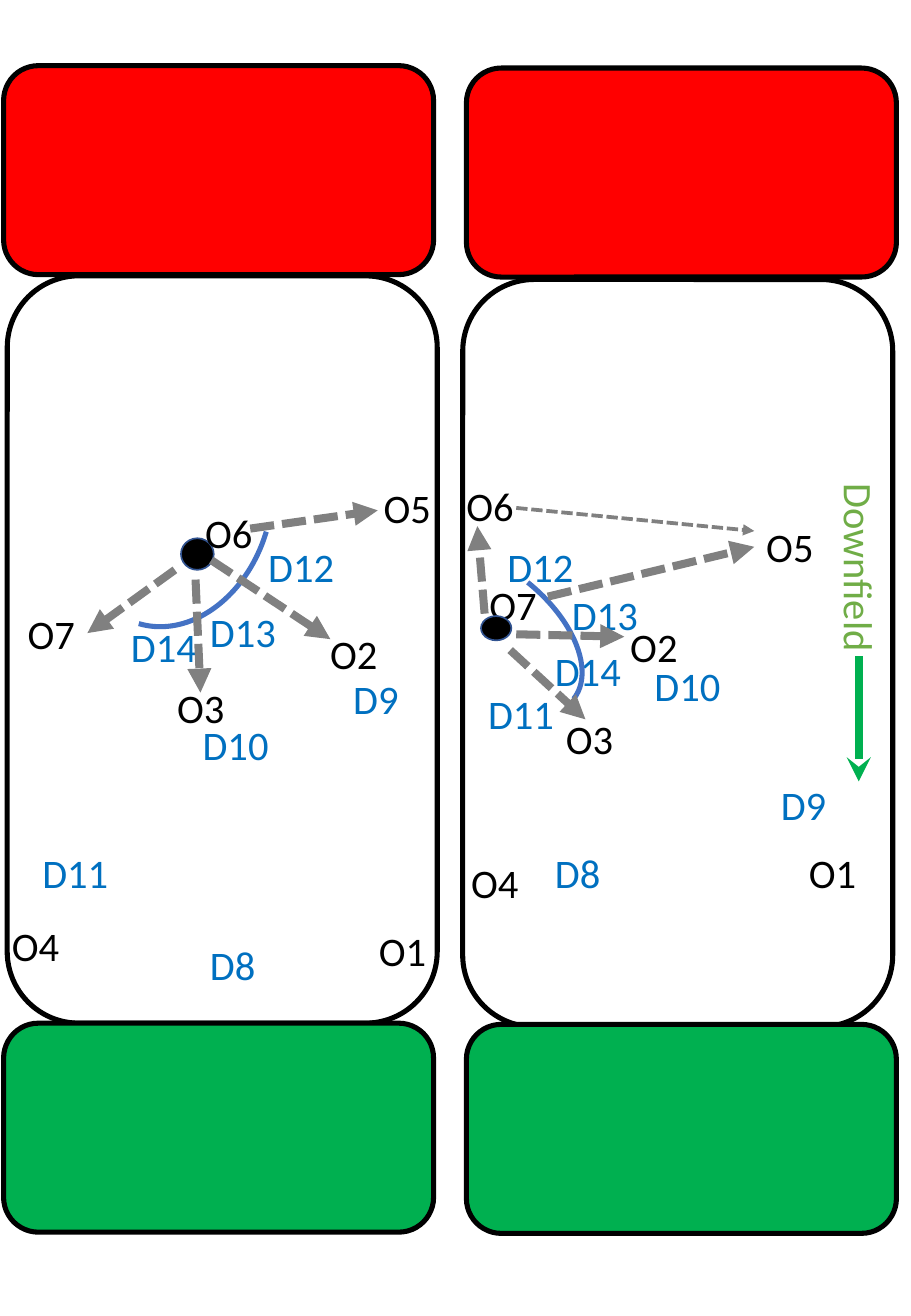
from lxml.etree import SubElement
from pptx import Presentation
from pptx.dml.color import RGBColor
from pptx.enum.dml import MSO_LINE
from pptx.enum.shapes import MSO_CONNECTOR, MSO_SHAPE
from pptx.enum.text import MSO_AUTO_SIZE
from pptx.oxml.ns import qn
from pptx.util import Pt

PX = 9144
THEME = {
    "font": "Calibri", "size": 24,
    "offense": "000000", "defense": "0070C0", "downfield": "70AD47",
    "field": "FFFFFF", "red": "FF0000", "green": "00B050", "outline": "000000",
    "ball": "000000", "ball_line": "325491", "arc": "4472C4", "run": "808080",
    "border": 3, "thin": 1, "bold_run": 4.75, "light_run": 2.25,
}

halves = [
    {
        "field": (6, 227), "zones": [("green", 3, 842), ("red", 3, 54)],
        "labels": [
            ("O2", 262, 513, 74), ("O1", 302, 757, 61), ("O3", 136, 557, 74),
            ("O4", 0, 753, 74), ("O5", 306, 393, 74), ("O7", 13, 496, 74),
            ("D8", 163, 769, 74), ("D9", 281, 550, 74), ("D10", 157, 588, 97),
            ("D11", 25, 693, 97), ("D12", 211, 441, 97), ("D13", 163, 495, 97),
            ("D14", 98, 507, 97),
        ],
        "ball": (149, 443, 27, 26), "arc": (41, 336, 205, 158, 106.6),
        "runs": [
            (206, 435, 311, 420, "bold_run"), (174, 461, 272, 526, "bold_run"),
            (161, 477, 165, 570, "bold_run"), (144, 469, 72, 521, "bold_run"),
        ],
    },
    {
        "field": (381, 230), "zones": [("green", 384, 843), ("red", 384, 56)],
        "labels": [
            ("O2", 509, 507, 72), ("O1", 656, 693, 65), ("O3", 456, 583, 72),
            ("O4", 378, 701, 65), ("O5", 621, 425, 65), ("O6", 374, 391, 65),
            ("O7", 393, 472, 65), ("D8", 447, 693, 65), ("D9", 633, 637, 65),
            ("D10", 529, 539, 86), ("D11", 392, 562, 86), ("D12", 408, 441, 86),
            ("D13", 461, 481, 86), ("D14", 447, 527, 86),
        ],
        "ball": (396, 507, 25, 20), "arc": (313, 468, 179, 102, 38.8),
        "runs": [
            (399, 505, 393, 433, "bold_run"), (451, 491, 621, 450, "bold_run"),
            (420, 535, 482, 592, "bold_run"), (425, 522, 514, 524, "bold_run"),
            (425, 418, 621, 437, "light_run"),
        ],
    },
]

prs = Presentation()
prs.slide_width, prs.slide_height = 750 * PX, 1083 * PX
s = prs.slides.add_slide(prs.slide_layouts[6])


def add_item(kind, x, y, w, h, fill=None, line="outline", width="border", text=None, color=None, rotation=0):
    box = [v * PX for v in (x, y, w, h)]
    if text:
        sp = s.shapes.add_textbox(*box)
        tf = sp.text_frame
        tf.word_wrap = True
        tf.auto_size = MSO_AUTO_SIZE.SHAPE_TO_FIT_TEXT
        r = tf.paragraphs[0].add_run()
        r.text = text
        for name, value in {"name": THEME["font"], "size": Pt(THEME["size"])}.items():
            setattr(r.font, name, value)
        r.font.color.rgb = RGBColor.from_string(THEME[color])
    else:
        sp = s.shapes.add_shape(kind, *box)
        sp.shadow.inherit = False
        if fill:
            sp.fill.solid()
            sp.fill.fore_color.rgb = RGBColor.from_string(THEME[fill])
        else:
            sp.fill.background()
        sp.line.color.rgb = RGBColor.from_string(THEME[line])
        sp.line.width = Pt(THEME[width])
    sp.rotation = rotation


def add_arrow(x1, y1, x2, y2, width, color="run", head="triangle", dash=MSO_LINE.SQUARE_DOT):
    c = s.shapes.add_connector(MSO_CONNECTOR.STRAIGHT, *[v * PX for v in (x1, y1, x2, y2)])
    c.line.color.rgb = RGBColor.from_string(THEME[color])
    c.line.width = Pt(THEME[width])
    if dash:
        c.line.dash_style = dash
    SubElement(c.line._get_or_add_ln(), qn("a:tailEnd"), type=head)
    SubElement(c._element.spPr, qn("a:effectLst"))


for half in halves:
    add_item(MSO_SHAPE.ROUNDED_RECTANGLE, *half["field"], 354, 615, fill="field")
    for fill, x, y in half["zones"]:
        add_item(MSO_SHAPE.ROUNDED_RECTANGLE, x, y, 354, 172, fill=fill)
    for text, x, y, w in half["labels"]:
        color = "offense" if text.startswith("O") else "defense"
        add_item(None, x, y, w, 50, text=text, color=color)
    add_item(MSO_SHAPE.OVAL, *half["ball"], fill="ball", line="ball_line", width="thin")
    *arc_box, angle = half["arc"]
    add_item(MSO_SHAPE.ARC, *arc_box, line="arc", rotation=angle)
    for run in half["runs"]:
        add_arrow(*run)

add_item(None, 159, 413, 84, 50, text="O6", color="offense")
add_item(None, 622, 449, 172, 50, text="Downfield", color="downfield", rotation=90)
add_arrow(707, 540, 707, 643, "bold_run", color="green", head="stealth", dash=None)

prs.save("out.pptx")
